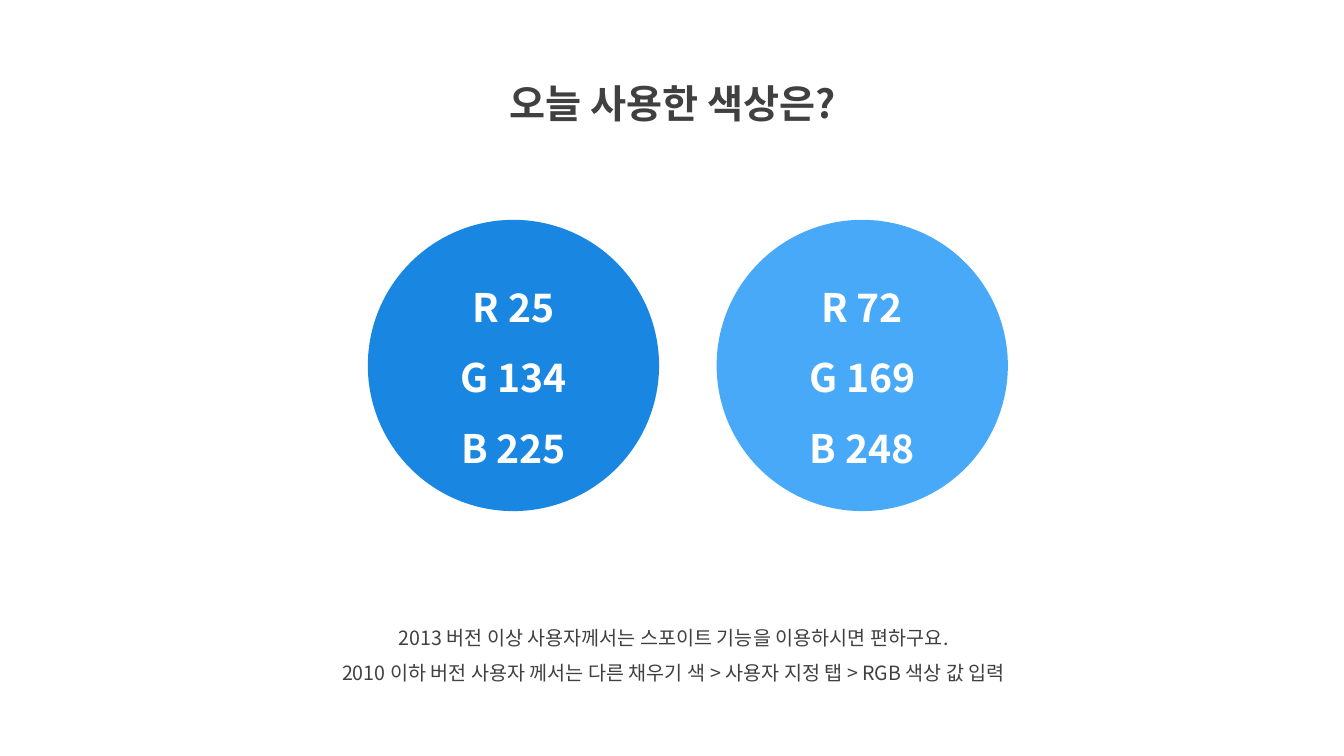
from lxml.etree import SubElement
from pptx import Presentation
from pptx.dml.color import RGBColor
from pptx.enum.shapes import MSO_SHAPE as Shape
from pptx.enum.text import MSO_ANCHOR as Anchor, MSO_AUTO_SIZE as AutoSize, PP_ALIGN as Align
from pptx.oxml.ns import qn
from pptx.util import Cm, Pt

TITLE = ["오늘 사용한 색상은?"]
GUIDE = [
    "2013 버전 이상 사용자께서는 스포이트 기능을 이용하시면 편하구요.",
    "2010 이하 버전 사용자 께서는 다른 채우기 색 > 사용자 지정 탭 > RGB 색상 값 입력",
]
SWATCHES = [RGBColor(25, 134, 225), RGBColor(72, 169, 248)]

FONT = "Noto Sans CJK KR"
DARK_GRAY = RGBColor(64, 64, 64)
WHITE = RGBColor(255, 255, 255)

CIRCLE_LEFT, CIRCLE_TOP = Cm(9.27), Cm(5.54)
CIRCLE_SIZE, CIRCLE_GAP = Cm(7.34), Cm(1.45)


def write_lines(frame, lines, size, color, bold=False):
    frame.word_wrap = True
    for index, line in enumerate(lines):
        paragraph = frame.add_paragraph() if index else frame.paragraphs[0]
        paragraph.alignment = Align.CENTER
        paragraph.line_spacing = 1.5
        run = paragraph.add_run()
        run.text = line
        font = run.font
        font.name, font.size, font.bold = FONT, Pt(size), bold
        font.color.rgb = color
        SubElement(font._element, qn("a:ea"), typeface=FONT)


def add_text(slide, box, lines, size, bold=False):
    frame = slide.shapes.add_textbox(*box).text_frame
    write_lines(frame, lines, size, DARK_GRAY, bold)
    frame.auto_size = AutoSize.SHAPE_TO_FIT_TEXT


def add_swatch(slide, left, color):
    circle = slide.shapes.add_shape(Shape.OVAL, left, CIRCLE_TOP, CIRCLE_SIZE, CIRCLE_SIZE)
    circle.shadow.inherit = False
    circle.fill.solid()
    circle.fill.fore_color.rgb = color
    circle.line.fill.background()
    circle.text_frame.vertical_anchor = Anchor.MIDDLE
    lines = [f"{channel} {value}" for channel, value in zip("RGB", color)]
    write_lines(circle.text_frame, lines, 28, WHITE, bold=True)


presentation = Presentation()
presentation.slide_width, presentation.slide_height = Cm(33.87), Cm(19.05)
slide = presentation.slides.add_slide(presentation.slide_layouts[6])

add_text(slide, (Cm(11.07), Cm(1.27), Cm(11.76), Cm(1.83)), TITLE, 28, bold=True)
add_text(slide, (Cm(6.83), Cm(15.34), Cm(20.29), Cm(2.06)), GUIDE, 14)
for index, color in enumerate(SWATCHES):
    add_swatch(slide, CIRCLE_LEFT + index * (CIRCLE_SIZE + CIRCLE_GAP), color)

presentation.save("out.pptx")
